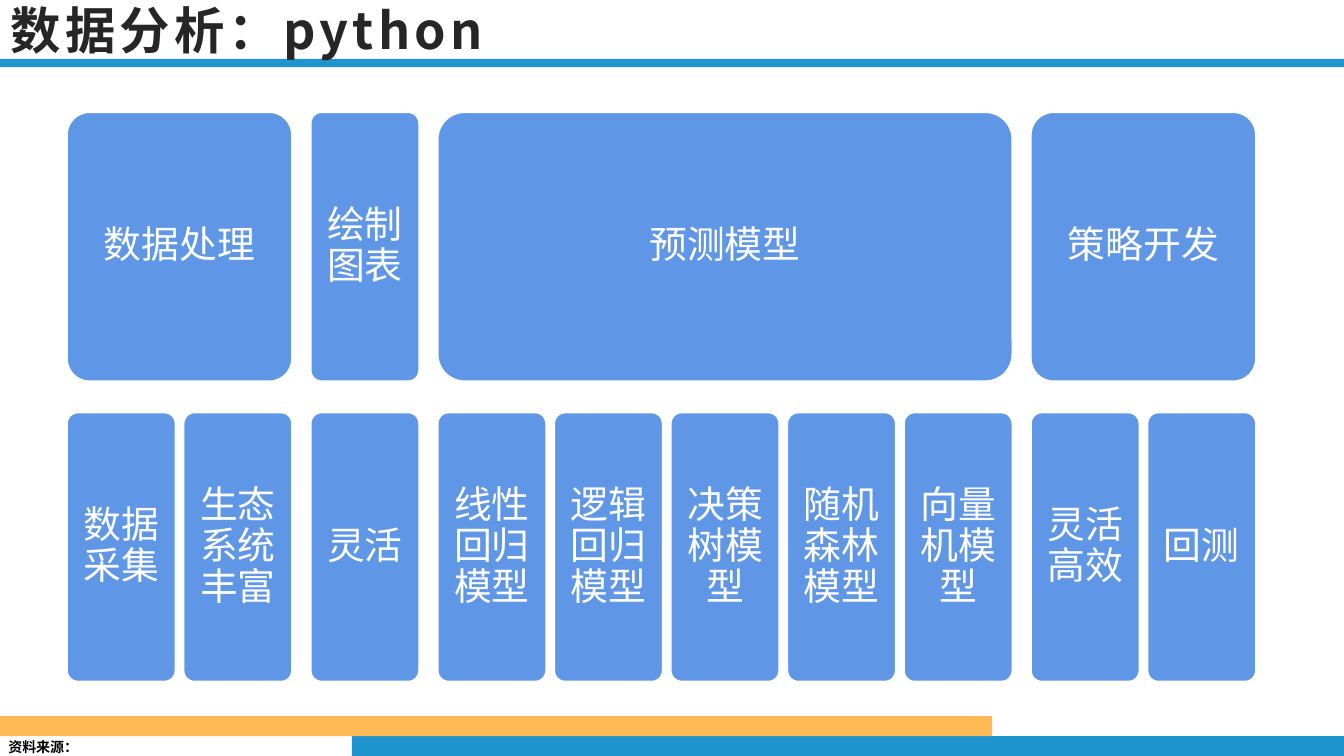
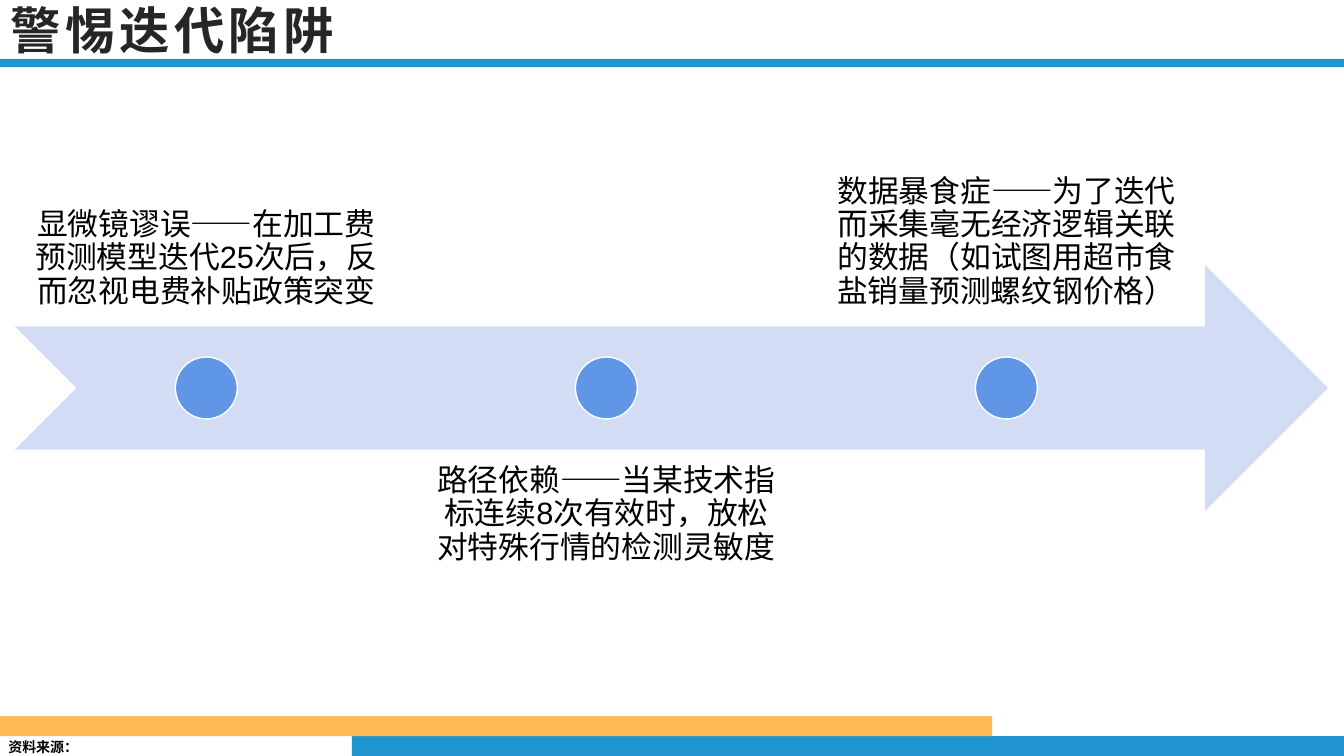
from dataclasses import dataclass
from typing import NamedTuple

from lxml import etree
from pptx import Presentation
from pptx.dml.color import RGBColor
from pptx.enum.shapes import MSO_SHAPE as Preset
from pptx.enum.text import MSO_ANCHOR as Anchor, MSO_AUTO_SIZE as AutoSize, PP_ALIGN as Align
from pptx.oxml.ns import qn
from pptx.util import Emu, Pt

EMU_PER_PX = 9525


def px(length: int) -> Emu:
    return Emu(length * EMU_PER_PX)


class Box(NamedTuple):
    left: int
    top: int
    width: int
    height: int

    def emu(self) -> tuple:
        return tuple(px(length) for length in self)


@dataclass(frozen=True)
class TextStyle:
    size: int
    color: str
    latin: str = "Arial"
    bold: bool = False
    letter_spacing: int = 0
    align: Align = Align.CENTER
    line_spacing: float = 0.9


@dataclass(frozen=True)
class Theme:
    blue: str = "2094CE"
    orange: str = "FFBA55"
    block: str = "6096E6"
    arrow: str = "D2DDF5"
    white: str = "FFFFFF"
    cjk: str = "Noto Sans CJK SC"
    title: TextStyle = TextStyle(36, "262626", "Noto Sans CJK SC", True, 3, Align.LEFT, 1.0)
    source: TextStyle = TextStyle(10, "000000", "Noto Sans CJK SC", True, 0, Align.LEFT, 1.0)
    block_label: TextStyle = TextStyle(27, "FFFFFF")
    trap: TextStyle = TextStyle(22, "000000")


@dataclass(frozen=True)
class Group:
    heading: str
    leaves: tuple


@dataclass(frozen=True)
class Trap:
    text: str
    top: int
    anchor: Anchor


THEME = Theme()
SLIDE_WIDTH, SLIDE_HEIGHT = 1280, 720
TITLE_BOX = Box(0, 0, 1098, 56)
SOURCE_BOX = Box(-2, 698, 82, 26)
BANDS = (
    (Box(335, 701, 945, 19), THEME.blue),
    (Box(0, 682, 945, 19), THEME.orange),
    (Box(0, 56, 1280, 8), THEME.blue),
)

GROUPS = (
    Group("数据处理", ("数据采集", "生态系统丰富")),
    Group("绘制图表", ("灵活",)),
    Group("预测模型", ("线性回归模型", "逻辑回归模型", "决策树模型", "随机森林模型", "向量机模型")),
    Group("策略开发", ("灵活高效", "回测")),
)
GRID_LEFT, HEADING_TOP, LEAF_TOP = 64, 107, 393
LEAF_WIDTH, BLOCK_HEIGHT = 103, 256
LEAF_GAP, GROUP_GAP = 8, 18

TRAPS = (
    Trap("显微镜谬误——在加工费预测模型迭代25次后，反而忽视电费补贴政策突变", 75, Anchor.BOTTOM),
    Trap("路径依赖——当某技术指标连续8次有效时，放松对特殊行情的检测灵敏度", 427, Anchor.TOP),
    Trap(
        "数据暴食症——为了迭代而采集毫无经济逻辑关联的数据（如试图用超市食盐销量预测螺纹钢价格）",
        75,
        Anchor.BOTTOM,
    ),
)
ARROW_BOX = Box(14, 252, 1251, 235)
TRAP_LEFT, TRAP_PITCH, TRAP_WIDTH, TRAP_HEIGHT = 15, 381, 363, 235
DOT_TOP, DOT_SIZE = 340, 59


def write(shape, text: str, style: TextStyle, anchor: Anchor, inset_x: int, inset_y: int) -> None:
    frame = shape.text_frame
    frame.text = text
    frame.word_wrap = True
    frame.auto_size = AutoSize.NONE
    frame.vertical_anchor = anchor
    frame.margin_left = frame.margin_right = px(inset_x)
    frame.margin_top = frame.margin_bottom = px(inset_y)
    for paragraph in frame.paragraphs:
        paragraph.alignment = style.align
        paragraph.line_spacing = style.line_spacing
        for run in paragraph.runs:
            font = run.font
            font.size = Pt(style.size)
            font.bold = style.bold
            font.color.rgb = RGBColor.from_string(style.color)
            font.name = style.latin
            properties = run.font._element
            etree.SubElement(properties, qn("a:ea")).set("typeface", THEME.cjk)
            if style.letter_spacing:
                properties.set("spc", str(style.letter_spacing * 100))


def add_filled(slide, preset: Preset, box: Box, fill: str, outlined: bool = False):
    shape = slide.shapes.add_shape(preset, *box.emu())
    shape.shadow.inherit = False
    shape.fill.solid()
    shape.fill.fore_color.rgb = RGBColor.from_string(fill)
    if outlined:
        shape.line.color.rgb = RGBColor.from_string(THEME.white)
        shape.line.width = Pt(1)
    else:
        shape.line.fill.background()
    return shape


def add_block(slide, box: Box, label: str) -> None:
    block = add_filled(slide, Preset.ROUNDED_RECTANGLE, box, THEME.block, outlined=True)
    block.adjustments[0] = 0.1
    write(block, label, THEME.block_label, Anchor.MIDDLE, 10, 10)


def add_titled_slide(presentation, title: str):
    slide = presentation.slides.add_slide(presentation.slide_layouts[5])
    placeholder = slide.shapes.title
    placeholder.left, placeholder.top, placeholder.width, placeholder.height = TITLE_BOX.emu()
    write(placeholder, title, THEME.title, Anchor.MIDDLE, 10, 5)
    return slide


def furnish_layout(slide) -> None:
    furniture = [add_filled(slide, Preset.RECTANGLE, box, color) for box, color in BANDS]
    source = slide.shapes.add_textbox(*SOURCE_BOX.emu())
    write(source, "资料来源：", THEME.source, Anchor.TOP, 10, 5)
    source.text_frame.margin_right = 0
    furniture.append(source)
    layout_tree = slide.slide_layout.shapes.element
    for number, shape in enumerate(furniture, start=100):
        shape.element.nvSpPr.cNvPr.set("id", str(number))
        layout_tree.append(shape.element)


def draw_toolkit(slide) -> None:
    left = GRID_LEFT
    for group in GROUPS:
        count = len(group.leaves)
        width = count * LEAF_WIDTH + (count - 1) * LEAF_GAP
        add_block(slide, Box(left, HEADING_TOP, width, BLOCK_HEIGHT), group.heading)
        for index, leaf in enumerate(group.leaves):
            leaf_left = left + index * (LEAF_WIDTH + LEAF_GAP)
            add_block(slide, Box(leaf_left, LEAF_TOP, LEAF_WIDTH, BLOCK_HEIGHT), leaf)
        left += width + GROUP_GAP


def draw_traps(slide) -> None:
    add_filled(slide, Preset.NOTCHED_RIGHT_ARROW, ARROW_BOX, THEME.arrow)
    for index, trap in enumerate(TRAPS):
        left = TRAP_LEFT + index * TRAP_PITCH
        text_box = slide.shapes.add_textbox(*Box(left, trap.top, TRAP_WIDTH, TRAP_HEIGHT).emu())
        write(text_box, trap.text, THEME.trap, trap.anchor, 16, 16)
        dot_left = left + (TRAP_WIDTH - DOT_SIZE) // 2
        dot_box = Box(dot_left, DOT_TOP, DOT_SIZE, DOT_SIZE)
        add_filled(slide, Preset.OVAL, dot_box, THEME.block, outlined=True)


def main() -> None:
    presentation = Presentation()
    presentation.slide_width, presentation.slide_height = px(SLIDE_WIDTH), px(SLIDE_HEIGHT)
    toolkit = add_titled_slide(presentation, "数据分析：python")
    furnish_layout(toolkit)
    draw_toolkit(toolkit)
    draw_traps(add_titled_slide(presentation, "警惕迭代陷阱"))
    presentation.save("out.pptx")


if __name__ == "__main__":
    main()
